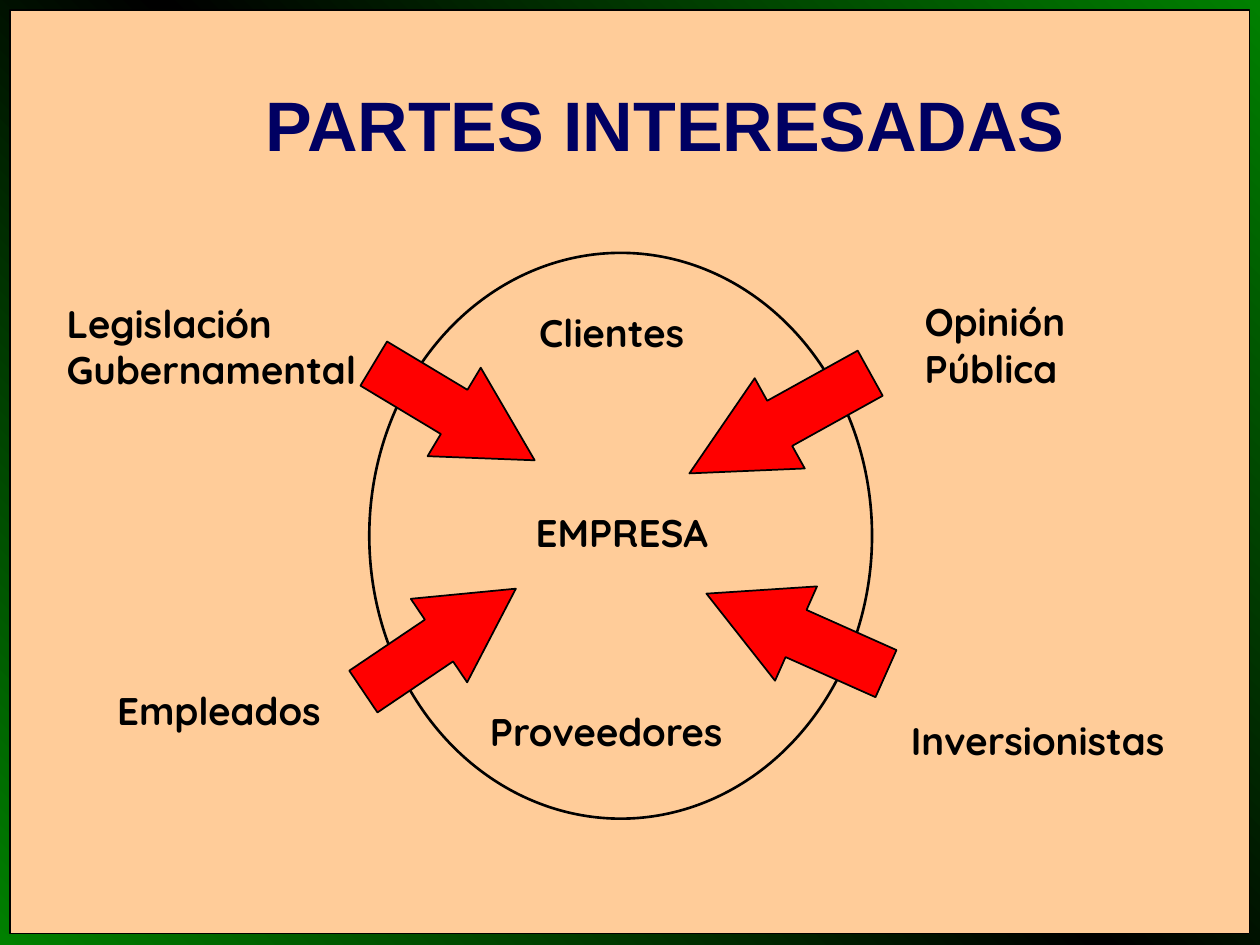
"""Build the slide on the interested parties around a company."""
from copy import deepcopy
from pptx import Presentation
from pptx.dml.color import RGBColor as RGB
from pptx.enum.shapes import MSO_SHAPE as Kind
from pptx.enum.text import MSO_ANCHOR as Anchor, MSO_AUTO_SIZE as Auto, PP_ALIGN as Align
from pptx.util import Pt


def paint(fill, color):
    fill.solid()
    fill.fore_color.rgb = RGB.from_string(color)


def draw(kind, box, color, width):
    shape = slide.shapes.add_shape(kind, *map(Pt, box))
    shape.shadow.inherit = False
    if color:
        paint(shape.fill, color)
    else:
        shape.fill.background()
    paint(shape.line.fill, "000000")
    shape.line.width = Pt(width)
    return shape


deck = Presentation()
deck.slide_width, deck.slide_height = Pt(720), Pt(540)
slide = deck.slides.add_slide(deck.slide_layouts[5])

back = slide.background.fill
back.gradient()
back.gradient_angle = 45
first = back.gradient_stops[0]._gs
first.addnext(deepcopy(first))
for stop, place, color in zip(back.gradient_stops, (0, 0.5, 1), ("008000", "000000", "008000")):
    stop.position = place
    stop.color.rgb = RGB.from_string(color)

draw(Kind.RECTANGLE, (5.75, 5.75, 708.5, 527.75), "FFCC99", 0.75)
draw(Kind.OVAL, (211, 144.5, 287.3, 323.3), None, 1.5)

labels = [
    ("Clientes", 301, 172.8, 100),
    ("EMPRESA", 299, 287.3, 113),
    ("Proveedores", 272.9, 401, 147.6),
    ("Legislación\nGubernamental", 31, 167.8, 190.8),
    ("Empleados", 59.8, 388.8, 131.8),
    ("Opinión\nPública", 521.3, 167, 97.9),
    ("Inversionistas", 513.4, 406.1, 162.7),
]
for text, left, top, width in labels:
    lines = text.split("\n")
    box = slide.shapes.add_textbox(Pt(left), Pt(top), Pt(width), Pt(7 + 26.3 * len(lines)))
    frame = box.text_frame
    frame.text = text
    frame.word_wrap = False
    frame.auto_size = Auto.SHAPE_TO_FIT_TEXT
    for para in frame.paragraphs:
        para.alignment = Align.LEFT
        font = para.font
        font.name, font.size, font.bold = "Quicksand", Pt(22), True
        paint(font.fill, "000000")

title = slide.shapes.title
slide.shapes._spTree.append(title._element)
title.left, title.top, title.width, title.height = map(Pt, (144.7, 43.2, 473.8, 55.4))
frame = title.text_frame
frame.text = "PARTES INTERESADAS"
frame.word_wrap = False
frame.auto_size = Auto.SHAPE_TO_FIT_TEXT
frame.vertical_anchor = Anchor.TOP
para = frame.paragraphs[0]
para.alignment = Align.LEFT
para.font.name, para.font.size, para.font.bold = "Arial", Pt(40), True
paint(para.font.fill, "000062")

arrows = [
    ((205.9, 205.9, 107.3, 59), 31, 0.91, False),
    ((198.7, 337, 105.1, 57.6), 326, 0.92, False),
    ((398.9, 332.6, 112.3, 59), 24, 0.95, True),
    ((386.6, 212.4, 118.1, 59), 331, 1, True),
]
for box, angle, head, flip in arrows:
    arrow = draw(Kind.RIGHT_ARROW, box, "FF0000", 1)
    arrow.rotation = angle
    arrow.adjustments[1] = head
    if flip:
        arrow._element.spPr.xfrm.set("flipH", "1")

deck.save("out.pptx")
